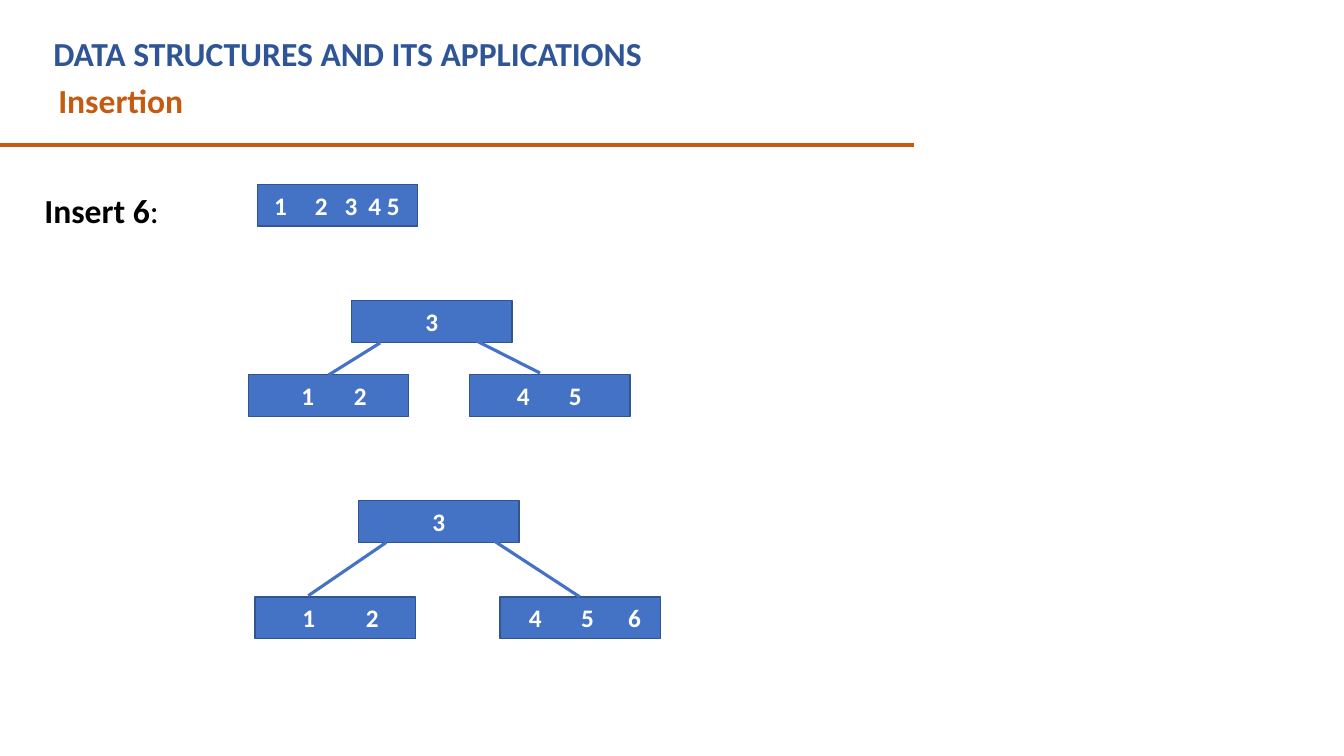
"""Build the slide that inserts key 6 into a B-tree."""
from dataclasses import dataclass

import lxml.etree
import pptx
import pptx.dml.color
import pptx.enum.shapes
import pptx.enum.text
import pptx.oxml.ns
import pptx.shapes.base
import pptx.slide
import pptx.text.text
import pptx.util
from pptx.util import Cm

BLACK = pptx.dml.color.RGBColor(0x00, 0x00, 0x00)
WHITE = pptx.dml.color.RGBColor(0xFF, 0xFF, 0xFF)
NAVY = pptx.dml.color.RGBColor(0x2F, 0x55, 0x97)
ORANGE = pptx.dml.color.RGBColor(0xC5, 0x5A, 0x11)
NODE_FILL = pptx.dml.color.RGBColor(0x44, 0x72, 0xC4)
NODE_BORDER = pptx.dml.color.RGBColor(0x32, 0x54, 0x91)
FONT = "Calibri"
NODE_WIDTH, NODE_HEIGHT = 4.04, 1.05
HEADING_WIDTH, STEP_WIDTH, TEXT_HEIGHT = 20.83, 5, 1.05


@dataclass(frozen=True)
class Node:
    """A tree node whose keys are centred at offsets from its left edge, in cm."""
    left: float
    top: float
    keys: dict[str, float]


@dataclass(frozen=True)
class Rule:
    """A straight line between two points, in cm."""
    start: tuple[float, float]
    end: tuple[float, float]
    color: pptx.dml.color.RGBColor = NODE_FILL
    width: float = 2.25


MIDDLE = NODE_WIDTH / 2
NODES = [
    Node(6.49, 4.65, {"1": 0.58, "2": 1.61, "3": 2.36, "4 5": 3.19}),
    Node(8.86, 7.58, {"3": MIDDLE}),
    Node(6.26, 9.44, {"1": 1.5, "2": 2.82}),
    Node(11.84, 9.44, {"4": 1.35, "5": 2.66}),
    Node(9.04, 12.62, {"3": MIDDLE}),
    Node(6.43, 15.04, {"1": 1.35, "2": 2.95}),
    Node(12.6, 15.04, {"4": 0.89, "5": 2.21, "6": 3.39}),
]
RULES = [
    Rule((0, 3.66), (23.04, 3.66), ORANGE, 3),
    Rule((9.58, 8.64), (8.28, 9.45)),
    Rule((12.01, 8.59), (13.61, 9.4)),
    Rule((9.73, 13.67), (7.77, 15.01)),
    Rule((12.19, 13.46), (14.61, 15.04)),
]


def format_runs(paragraph: pptx.text.text._Paragraph, size: int,
                color: pptx.dml.color.RGBColor) -> None:
    """Give every run of the paragraph the slide's bold type."""
    for run in paragraph.runs:
        run.font.name = FONT
        run.font.size = pptx.util.Pt(size)
        run.font.bold = True
        run.font.color.rgb = color


def fill_heading(heading: pptx.shapes.base.BaseShape, words: str,
                 color: pptx.dml.color.RGBColor) -> None:
    """Write a left-aligned heading at the top of its box."""
    frame = heading.text_frame
    frame.text = words
    frame.word_wrap = True
    frame.auto_size = pptx.enum.text.MSO_AUTO_SIZE.NONE
    frame.vertical_anchor = pptx.enum.text.MSO_ANCHOR.TOP
    frame.margin_top = frame.margin_bottom = 0
    frame.paragraphs[0].alignment = pptx.enum.text.PP_ALIGN.LEFT
    format_runs(frame.paragraphs[0], 24, color)


def add_heading(slide: pptx.slide.Slide, left: float, top: float, width: float,
                words: str, color: pptx.dml.color.RGBColor
                ) -> pptx.shapes.base.BaseShape:
    """Add a heading in a text box."""
    heading = slide.shapes.add_textbox(
        Cm(left), Cm(top), Cm(width), Cm(TEXT_HEIGHT))
    fill_heading(heading, words, color)
    return heading


def add_node(slide: pptx.slide.Slide, node: Node) -> None:
    """Draw a node and centre each of its keys on a tab stop."""
    box = slide.shapes.add_shape(
        pptx.enum.shapes.MSO_SHAPE.RECTANGLE,
        Cm(node.left), Cm(node.top), Cm(NODE_WIDTH), Cm(NODE_HEIGHT))
    box.shadow.inherit = False
    box.fill.solid()
    box.fill.fore_color.rgb = NODE_FILL
    box.line.color.rgb = NODE_BORDER
    box.line.width = pptx.util.Pt(1)
    frame = box.text_frame
    frame.margin_left = frame.margin_right = 0
    frame.vertical_anchor = pptx.enum.text.MSO_ANCHOR.MIDDLE
    keys = frame.paragraphs[0]
    if len(node.keys) == 1:
        keys.text = "".join(node.keys)
        keys.alignment = pptx.enum.text.PP_ALIGN.CENTER
    else:
        keys.text = "".join(f"\t{key}" for key in node.keys)
        keys.alignment = pptx.enum.text.PP_ALIGN.LEFT
        stops = lxml.etree.SubElement(
            keys._p.get_or_add_pPr(), pptx.oxml.ns.qn("a:tabLst"))
        for offset in node.keys.values():
            lxml.etree.SubElement(stops, pptx.oxml.ns.qn("a:tab"),
                                  pos=str(int(Cm(offset))), algn="ctr")
    format_runs(keys, 18, WHITE)


def add_rule(slide: pptx.slide.Slide, rule: Rule) -> None:
    """Draw a line without a shadow."""
    line = slide.shapes.add_connector(
        pptx.enum.shapes.MSO_CONNECTOR.STRAIGHT,
        *(Cm(value) for value in rule.start + rule.end))
    line.line.color.rgb = rule.color
    line.line.width = pptx.util.Pt(rule.width)
    lxml.etree.SubElement(line._element.spPr, pptx.oxml.ns.qn("a:effectLst"))


def main() -> None:
    """Build and save the slide."""
    deck = pptx.Presentation()
    deck.slide_width, deck.slide_height = Cm(33.87), Cm(19.05)
    slide = deck.slides.add_slide(deck.slide_layouts[5])
    course = slide.shapes.title
    course.left, course.top = Cm(1.09), Cm(0.84)
    course.width, course.height = Cm(HEADING_WIDTH), Cm(TEXT_HEIGHT)
    fill_heading(course, "DATA STRUCTURES AND ITS APPLICATIONS", NAVY)
    add_heading(slide, 1.22, 2.01, HEADING_WIDTH, "Insertion", ORANGE)
    step = add_heading(slide, 0.87, 4.78, STEP_WIDTH, "Insert 6", BLACK)
    colon = step.text_frame.paragraphs[0].add_run()
    colon.text = ":"
    format_runs(step.text_frame.paragraphs[0], 24, BLACK)
    colon.font.bold = False
    for node in NODES:
        add_node(slide, node)
    for rule in RULES:
        add_rule(slide, rule)
    deck.save("out.pptx")


if __name__ == "__main__":
    main()
